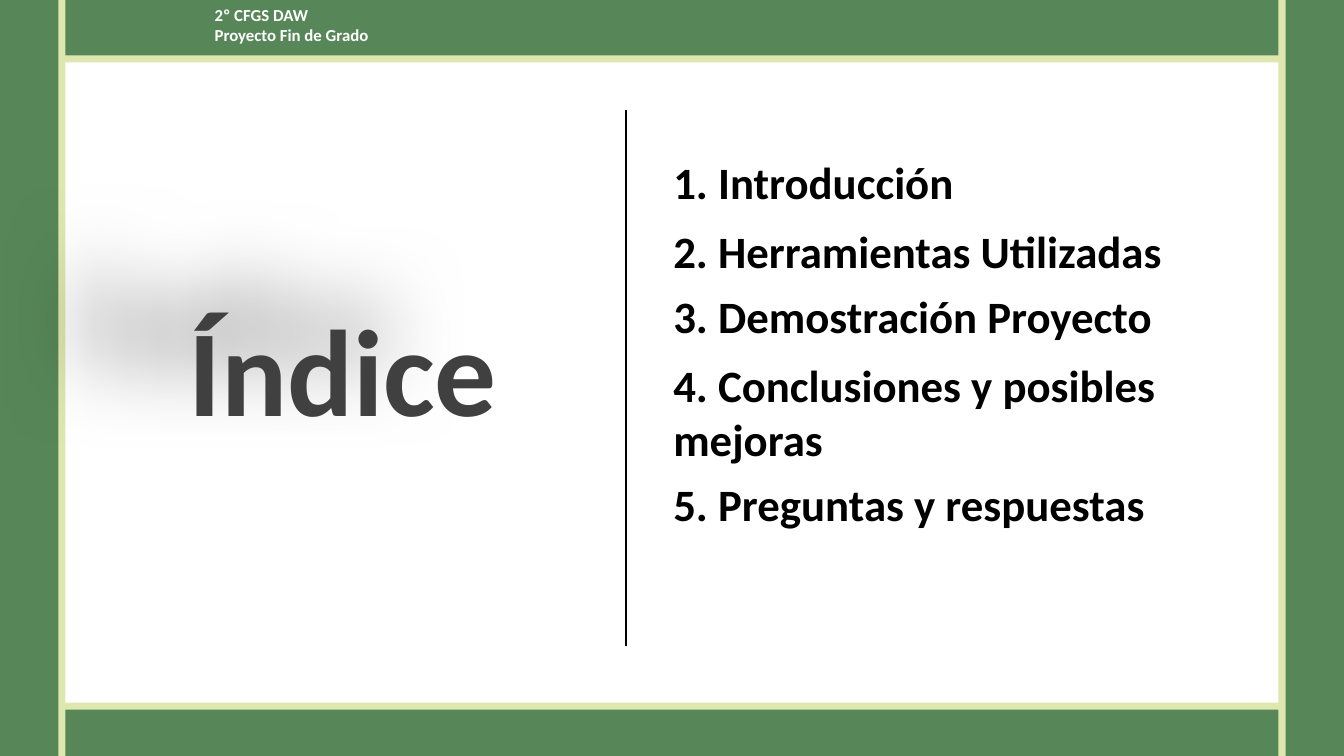
from lxml import etree
from pptx import Presentation
from pptx.dml.color import RGBColor
from pptx.enum.shapes import MSO_CONNECTOR, MSO_SHAPE
from pptx.enum.text import MSO_AUTO_SIZE, PP_ALIGN
from pptx.oxml import parse_xml
from pptx.oxml.ns import qn
from pptx.util import Inches, Pt

RECTANGLE = MSO_SHAPE.RECTANGLE
STRAIGHT = MSO_CONNECTOR.STRAIGHT
NO_FIT = MSO_AUTO_SIZE.NONE
CENTER, LEFT = PP_ALIGN.CENTER, PP_ALIGN.LEFT

HEADER = ["2º CFGS DAW", "Proyecto Fin de Grado"]
TITLE = "Índice"
TOPICS = [
    ("1. Introducción", 1.49, 1),
    ("2. Herramientas Utilizadas", 2.17, 1),
    ("3. Demostración Proyecto", 2.82, 1),
    ("4. Conclusiones y posibles mejoras", 3.5, 2),
    ("5. Preguntas y respuestas", 4.68, 1),
]

COLORS = {"green": "578758", "cream": "DEE7AE", "title": "404040",
          "white": "FFFFFF", "black": "000000"}
WIDTH, HEIGHT = 13.33, 7.5
BAND, TRIM = 0.58, 0.07
TOP_BAND, BOTTOM_BAND = 0.55, 0.46
TOPIC_LEFT, TOPIC_WIDTH, LINE_HEIGHT = 6.58, 6.04, 0.54
DIVIDER = (6.21, 1.09, 6.41)

FRAME = [
    (0, HEIGHT - BOTTOM_BAND, WIDTH, BOTTOM_BAND, 0, -TRIM),
    (0, 0, WIDTH, TOP_BAND, 0, TRIM),
    (0, 0, BAND, HEIGHT, TRIM, 0),
    (WIDTH - BAND, 0, BAND, HEIGHT, -TRIM, 0),
]

SHADOW = (
    '<a:effectLst xmlns:a="http://schemas.openxmlformats.org/drawingml/2006/main">'
    '<a:outerShdw blurRad="762000" dist="1100000" dir="12300000" algn="ctr" rotWithShape="0">'
    '<a:srgbClr val="000000"><a:alpha val="50000"/></a:srgbClr>'
    '</a:outerShdw></a:effectLst>'
)


def add_band(page, left, top, width, height, color):
    band = page.shapes.add_shape(RECTANGLE, *map(Inches, (left, top, width, height)))
    band.shadow.inherit = False
    band.fill.solid()
    band.fill.fore_color.rgb = RGBColor.from_string(COLORS[color])
    band.line.fill.background()


def add_text(page, lines, area, size, color, align=LEFT, spacing=None, margins=None):
    box = page.shapes.add_textbox(*map(Inches, area))
    frame = box.text_frame
    settings = {"word_wrap": True, "auto_size": NO_FIT, **(margins or {})}
    for name, value in settings.items():
        setattr(frame, name, value)
    for index, line in enumerate(lines):
        para = frame.add_paragraph() if index else frame.paragraphs[0]
        para.alignment = align
        para.line_spacing = spacing
        span = para.add_run()
        span.text = line
        for name, value in {"name": "Calibri", "size": Pt(size), "bold": True}.items():
            setattr(span.font, name, value)
        span.font.color.rgb = RGBColor.from_string(COLORS[color])
    return box


def main():
    deck = Presentation()
    deck.slide_width, deck.slide_height = Inches(WIDTH), Inches(HEIGHT)
    page = deck.slides.add_slide(deck.slide_layouts[6])

    for left, top, width, height, shift_x, shift_y in FRAME:
        add_band(page, left + shift_x, top + shift_y, width, height, "cream")
        add_band(page, left, top, width, height, "green")

    flush = dict.fromkeys(("margin_left", "margin_top", "margin_right", "margin_bottom"), 0)
    title = add_text(page, [TITLE], (1.07, 3.08, 4.66, 1.33), 88, "title", CENTER, 0.9, flush)
    title.element.spPr.append(parse_xml(SHADOW))
    add_text(page, HEADER, (2.03, 0, 3.32, 0.5), 12, "white")

    x, start, end = DIVIDER
    divider = page.shapes.add_connector(STRAIGHT, *map(Inches, (x, start, x, end)))
    divider.line.width = Pt(1.5)
    divider.line.color.rgb = RGBColor.from_string(COLORS["black"])
    etree.SubElement(divider.element.spPr, qn("a:effectLst"))

    for topic, top, rows in TOPICS:
        area = (TOPIC_LEFT, top, TOPIC_WIDTH, 0.1 + rows * LINE_HEIGHT)
        add_text(page, [topic], area, 32, "black")

    deck.save("out.pptx")


if __name__ == "__main__":
    main()
